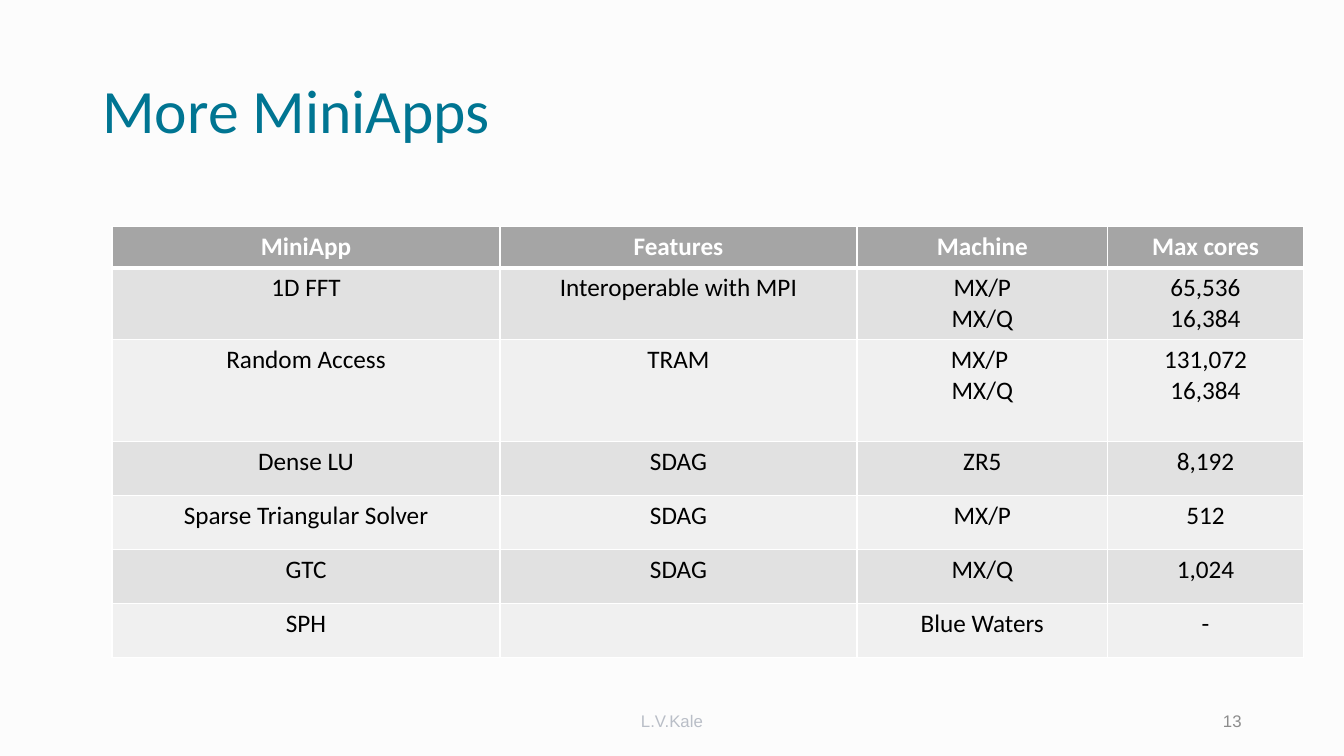
import pptx
import pptx.util
import pptx.dml.color
import pptx.enum.text
import pptx.oxml
import pptx.oxml.ns

Pt = pptx.util.Pt
RGB = pptx.dml.color.RGBColor
Align = pptx.enum.text.PP_ALIGN
Anchor = pptx.enum.text.MSO_ANCHOR

PAPER = RGB(0xFC, 0xFC, 0xFC)
WHITE = RGB(0xFF, 0xFF, 0xFF)
BLACK = RGB(0, 0, 0)
TEAL = RGB(0x00, 0x75, 0x92)
HEAD = RGB(0xA5, 0xA5, 0xA5)
DARK = RGB(0xE1, 0xE1, 0xE1)
LIGHT = RGB(0xF0, 0xF0, 0xF0)
MUTED = RGB(0xB9, 0xBE, 0xC7)
GRAY = RGB(0x8C, 0x8C, 0x8C)

COLS = [277.2, 254.9, 179.2, 139.7]
HEIGHTS = [29.2, 51.2, 73.2] + [38.5] * 4
APPS = [
    ["MiniApp", "Features", "Machine", "Max cores"],
    ["1D FFT", "Interoperable with MPI", "MX/P\nMX/Q", "65,536\n16,384"],
    ["Random Access", "TRAM", "MX/P \nMX/Q", "131,072\n16,384"],
    ["Dense LU", "SDAG", "ZR5", "8,192"],
    ["Sparse Triangular Solver", "SDAG", "MX/P", "512"],
    ["GTC", "SDAG", "MX/Q", "1,024"],
    ["SPH", "", "Blue Waters", "-"],
]


def add_run(para, text, size, font, color, bold=False):
    run = para.add_run()
    run.text = text
    run.font.size = Pt(size)
    run.font.name = font
    run.font.color.rgb = color
    run.font.bold = bold


def add_label(slide, box, text, size, font, color, align):
    frame = slide.shapes.add_textbox(*map(Pt, box)).text_frame
    frame.word_wrap = True
    frame.vertical_anchor = Anchor.MIDDLE
    para = frame.paragraphs[0]
    para.alignment = align
    add_run(para, text, size, font, color)
    return para


def add_title(slide, box):
    para = add_label(slide, box, "More MiniApps", 44, "Calibri", TEAL, Align.LEFT)
    para.line_spacing = 0.9


def add_footer(slide, box):
    left, top, width, height = box
    mid, num = 324, 216
    add_label(slide, (left + (width - mid) / 2, top, mid, height),
              "L.V.Kale", 12, "Arial", MUTED, Align.CENTER)
    add_label(slide, (left + width - num, top, num, height),
              "13", 12, "Arial", GRAY, Align.RIGHT)


def add_edge(cell, side, width):
    line = pptx.oxml.parse_xml(
        f'<a:ln{side} {pptx.oxml.ns.nsdecls("a")} w="{Pt(width)}">'
        f'<a:solidFill><a:srgbClr val="{WHITE}"/></a:solidFill></a:ln{side}>')
    cell._tc.get_or_add_tcPr().append(line)


def fill_cell(cell, row, text):
    cell.margin_left = cell.margin_right = Pt(9.6)
    cell.margin_top = cell.margin_bottom = Pt(3.6)
    for side in "LRTB":
        thick = (row, side) in [(0, "B"), (1, "T")]
        add_edge(cell, side, 3 if thick else 1)
    cell.fill.solid()
    cell.fill.fore_color.rgb = HEAD if row == 0 else DARK if row % 2 else LIGHT
    frame = cell.text_frame
    for i, line in enumerate(text.split("\n") if text else []):
        para = frame.add_paragraph() if i else frame.paragraphs[0]
        para.alignment = Align.CENTER
        add_run(para, line, 18, "Calibri", BLACK if row else WHITE, row == 0)


def add_apps(slide, box):
    table = slide.shapes.add_table(len(APPS), len(COLS), *map(Pt, box)).table
    table.horz_banding = False
    for col, width in zip(table.columns, COLS):
        col.width = Pt(width)
    for r, (texts, height) in enumerate(zip(APPS, HEIGHTS)):
        table.rows[r].height = Pt(height)
        for c, text in enumerate(texts):
            fill_cell(table.cell(r, c), r, text)


def main():
    deck = pptx.Presentation()
    deck.slide_width, deck.slide_height = Pt(960), Pt(540)
    slide = deck.slides.add_slide(deck.slide_layouts[6])
    slide.background.fill.solid()
    slide.background.fill.fore_color.rgb = PAPER
    add_apps(slide, (80, 162, sum(COLS), sum(HEIGHTS)))
    add_title(slide, (66, 28.75, 828, 104.4))
    add_footer(slide, (66, 500.5, 828, 28.75))
    deck.save("out.pptx")


if __name__ == "__main__":
    main()
